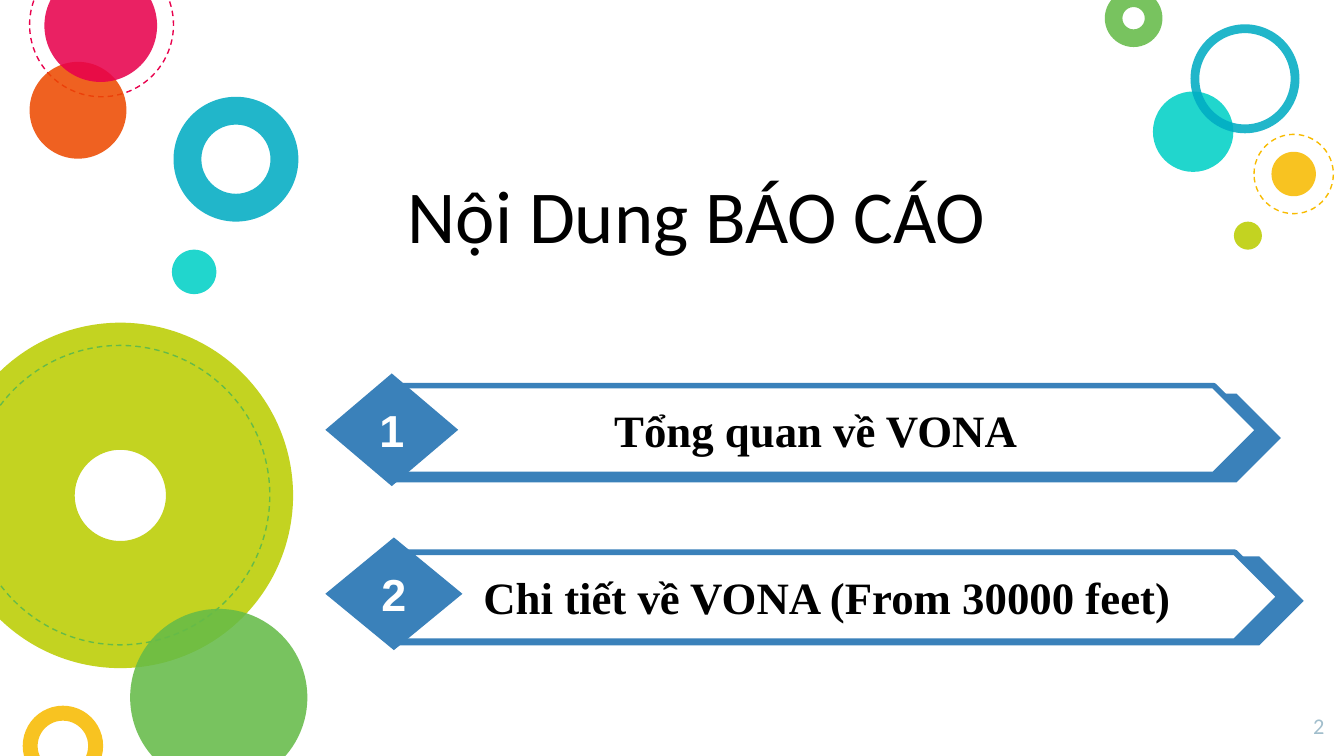
from lxml.etree import SubElement
from pptx import Presentation
from pptx.dml.color import RGBColor
from pptx.enum.dml import MSO_LINE_DASH_STYLE as DASH
from pptx.enum.shapes import MSO_AUTO_SHAPE_TYPE as SHAPE
from pptx.enum.text import MSO_ANCHOR as ANCHOR, PP_ALIGN as ALIGN
from pptx.oxml.ns import qn
from pptx.util import Cm, Pt

LIME = RGBColor(0xBB, 0xCD, 0x00)
PINK = RGBColor(0xE8, 0x00, 0x4C)
ORANGE = RGBColor(0xED, 0x4A, 0x00)
TEAL = RGBColor(0x00, 0xAC, 0xC3)
TURQUOISE = RGBColor(0x00, 0xD1, 0xC6)
GREEN = RGBColor(0x65, 0xBB, 0x48)
YELLOW = RGBColor(0xF8, 0xBB, 0x00)
BLUE = RGBColor(0x3A, 0x81, 0xBA)
GREY_BLUE = RGBColor(0xA1, 0xBE, 0xCC)
BLACK = RGBColor(0x00, 0x00, 0x00)
WHITE = RGBColor(0xFF, 0xFF, 0xFF)

# Back to front: kind, left, top, diameter (cm), colour, ring thickness
CIRCLES = [
    ("ring", -0.99, 6.1, 6.53, LIME, 0.368),
    ("outline", 0.56, -0.89, 2.72, PINK, None),
    ("disc", 0.56, 1.17, 1.83, ORANGE, None),
    ("ring", 3.28, 1.83, 2.36, TEAL, 0.223),
    ("disc", 2.46, 11.51, 3.35, GREEN, None),
    ("ring", 0.43, 13.34, 1.52, YELLOW, 0.186),
    ("disc", 3.25, 4.72, 0.84, TURQUOISE, None),
    ("disc", 21.79, 1.73, 1.52, TURQUOISE, None),
    ("ring", 20.88, -0.2, 1.09, GREEN, 0.306),
    ("disc", 24.03, 2.87, 0.84, YELLOW, None),
    ("ring", 22.5, 0.46, 2.06, TEAL, 0.081),
    ("disc", 23.32, 4.19, 0.53, LIME, None),
    ("outline", -0.56, 6.53, 5.66, GREEN, None),
    ("disc", 0.84, -0.58, 2.13, PINK, None),
    ("outline", 23.7, 2.54, 1.5, YELLOW, None),
]

# Number, topic, left, (back, front, diamond) tops, (back, front, diamond) widths
BANNERS = [
    ("1", "Tổng quan về VONA", 7.47, (7.44, 7.29, 7.06), (16.74, 16.31, 2.51)),
    ("2", "Chi tiết về VONA (From 30000 feet)", 7.49,
     (10.52, 10.44, 10.16), (17.15, 16.69, 2.59)),
]
DIAMOND_LEFT, DIAMOND_HEIGHT, BANNER_HEIGHT = 6.15, 2.13, 1.68


def add_plain_shape(shapes, kind, left, top, width, height, fill=None):
    shape = shapes.add_shape(kind, Cm(left), Cm(top), Cm(width), Cm(height))
    shape.shadow.inherit = False
    shape.line.fill.background()
    if fill is None:
        shape.fill.background()
    else:
        shape.fill.solid()
        shape.fill.fore_color.rgb = fill
    return shape


def add_circle(shapes, kind, left, top, size, color, thickness):
    preset = SHAPE.DONUT if kind == "ring" else SHAPE.OVAL
    fill = None if kind == "outline" else color
    circle = add_plain_shape(shapes, preset, left, top, size, size, fill)
    if kind == "ring":
        circle.adjustments[0] = thickness
    if kind == "outline":
        circle.line.color.rgb = color
        circle.line.width = Pt(0.75)
        circle.line.dash_style = DASH.DASH
    else:
        # Slight transparency
        rgb = circle.fill._xPr.find(".//" + qn("a:srgbClr"))
        SubElement(rgb, qn("a:alpha"), val="87000")


def write_text(frame, text, font, size, color, align=ALIGN.CENTER, bold=False):
    frame.word_wrap = True
    paragraph = frame.paragraphs[0]
    paragraph.text = text
    paragraph.alignment = align
    paragraph.font.name = font
    paragraph.font.size = Pt(size)
    paragraph.font.bold = bold
    paragraph.font.color.rgb = color


def add_text(shapes, box, text, size, color, align):
    frame = shapes.add_textbox(*map(Cm, box)).text_frame
    write_text(frame, text, "Calibri", size, color, align)
    return frame


def write_label(shape, text, font, color):
    frame = shape.text_frame
    frame.vertical_anchor = ANCHOR.MIDDLE
    frame.margin_left = frame.margin_right = Cm(0.33)
    frame.margin_top = frame.margin_bottom = Cm(0.18)
    write_text(frame, text, font, 24, color, bold=True)


def add_banner(shapes, number, topic, left, tops, widths):
    parts = shapes.add_group_shape().shapes
    back_top, front_top, diamond_top = tops
    back_width, front_width, diamond_width = widths
    add_plain_shape(parts, SHAPE.PENTAGON, left, back_top,
                    back_width, BANNER_HEIGHT, BLUE)
    front = add_plain_shape(parts, SHAPE.PENTAGON, left, front_top,
                            front_width, BANNER_HEIGHT, WHITE)
    front.line.color.rgb = BLUE
    front.line.width = Pt(3)
    write_label(front, topic, "Times New Roman", BLACK)
    diamond = add_plain_shape(parts, SHAPE.DIAMOND, DIAMOND_LEFT, diamond_top,
                              diamond_width, DIAMOND_HEIGHT, BLUE)
    write_label(diamond, number, "Arial", WHITE)


def main():
    deck = Presentation()
    deck.slide_width, deck.slide_height = Cm(25.4), Cm(14.29)
    shapes = deck.slides.add_slide(deck.slide_layouts[6]).shapes

    # Decorative circles
    for circle in CIRCLES:
        add_circle(shapes, *circle)

    # Page number and title
    page_number = add_text(shapes, (23.98, 13.21, 1.3, 1.09), "2", 12,
                           GREY_BLUE, ALIGN.RIGHT)
    page_number.margin_top = page_number.margin_bottom = Cm(0.25)
    add_text(shapes, (2.74, 3.07, 20.85, 2.39), "Nội Dung BÁO CÁO", 40,
             BLACK, ALIGN.CENTER)

    # Agenda banners
    for banner in BANNERS:
        add_banner(shapes, *banner)

    deck.save("out.pptx")


if __name__ == "__main__":
    main()
